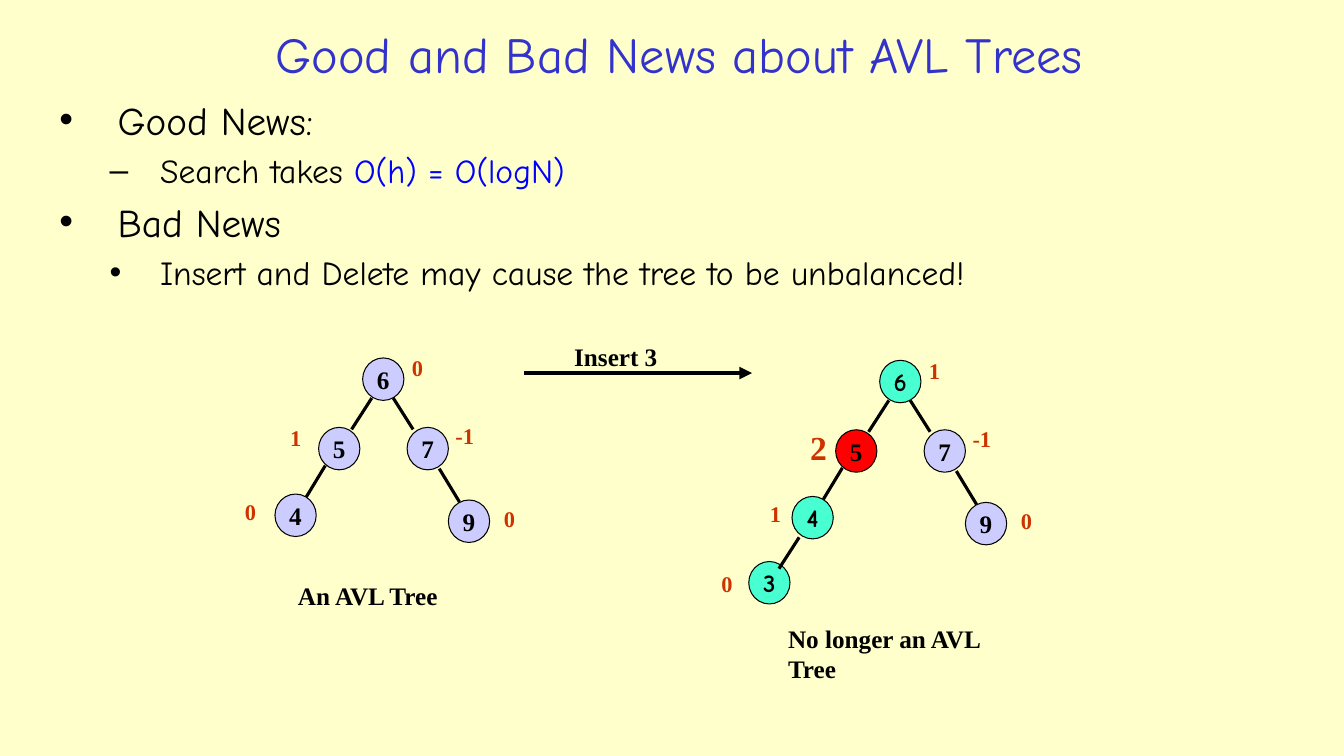
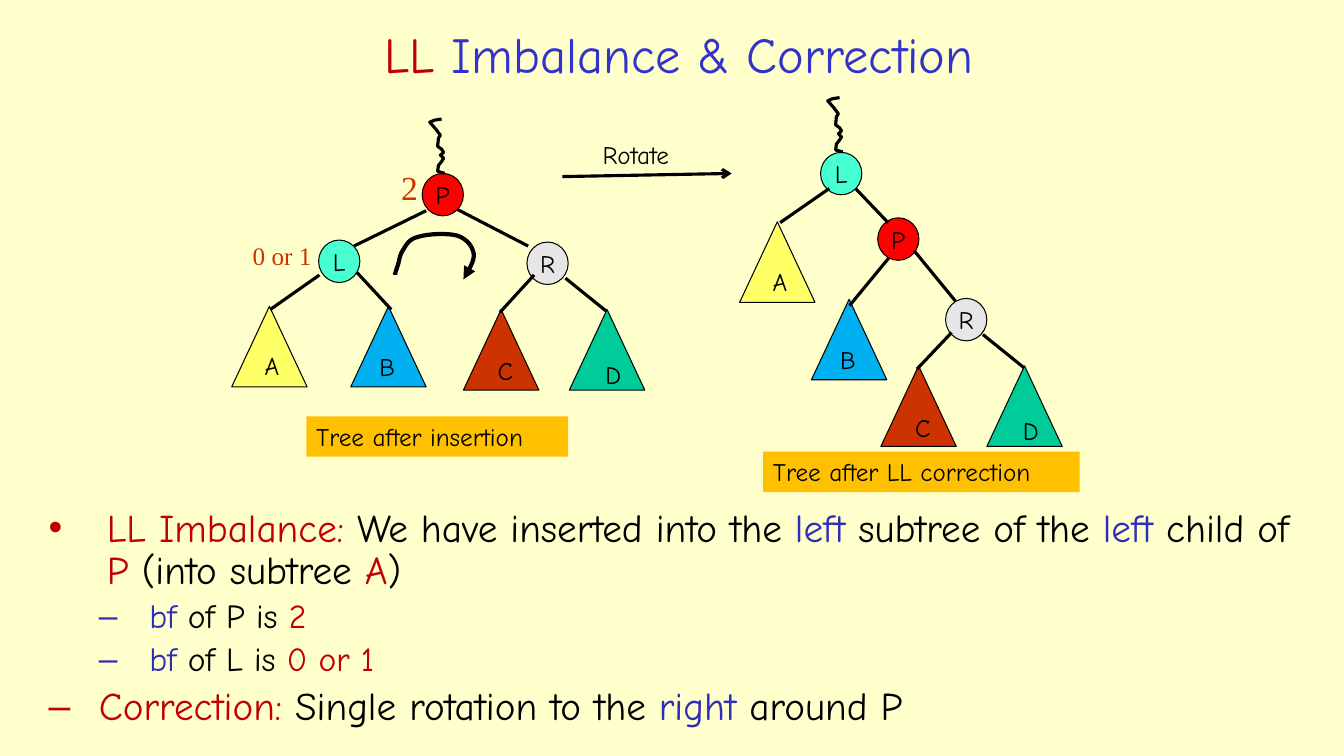
from lxml.etree import SubElement
from pptx import Presentation
from pptx.dml.color import RGBColor as Rgb
from pptx.enum.shapes import MSO_CONNECTOR as Link, MSO_SHAPE as Kind
from pptx.enum.text import MSO_ANCHOR as Anchor, MSO_AUTO_SIZE as Auto, PP_ALIGN as Align
from pptx.oxml.ns import qn
from pptx.util import Cm, Pt


class Theme:
    paper = Rgb(0xFF, 0xFF, 0xCC)
    black = Rgb(0, 0, 0)
    title = Rgb(0x33, 0x33, 0xCC)
    blue = Rgb(0, 0, 0xFF)
    navy = Rgb(0x2D, 0x2D, 0xB9)
    dark = Rgb(0xC0, 0, 0)
    rust = Rgb(0xCC, 0x33, 0)
    lilac = Rgb(0xCC, 0xCC, 0xFF)
    mint = Rgb(0x47, 0xFF, 0xD1)
    red = Rgb(0xFF, 0, 0)
    grey = Rgb(0xE6, 0xE6, 0xE6)
    lemon = Rgb(0xFF, 0xFF, 0x66)
    sky = Rgb(0, 0xB0, 0xF0)
    green = Rgb(0, 0xCC, 0x99)
    gold = Rgb(0xFF, 0xC0, 0)
    comic = "Comic Neue"
    times = "Times New Roman"
    head, item, sub, label, mark = 36, 28, 24, 18, 16
    thin, edge, bold = 0.75, 2.25, 3


def put(page, kind, x, y, w, h=None, text="", font=Theme.comic, size=Theme.label,
        color=Theme.black, bold=False, fill=None):
    box = [Cm(v) for v in (x, y, w, h or 0.04 * size + 0.3)]
    if kind is None:
        shape = page.shapes.add_textbox(*box)
    else:
        shape = page.shapes.add_shape(kind, *box)
        shape.shadow.inherit = False
        shape.fill.solid()
        shape.fill.fore_color.rgb = fill
        if kind == Kind.RECTANGLE:
            shape.line.fill.background()
        else:
            shape.line.color.rgb = Theme.black
            shape.line.width = Pt(Theme.thin)
    if text:
        oval = kind == Kind.OVAL
        frame = shape.text_frame
        frame.text = text
        frame.word_wrap = False
        frame.auto_size = Auto.NONE if oval else Auto.SHAPE_TO_FIT_TEXT
        frame.vertical_anchor = Anchor.MIDDLE if oval else Anchor.TOP
        para = frame.paragraphs[0]
        para.alignment = Align.CENTER if oval else Align.LEFT
        para.font.name, para.font.size, para.font.bold = font, Pt(size), bold
        para.font.color.rgb = color


def join(page, x1, y1, x2, y2, width=Theme.edge, tip=None):
    line = page.shapes.add_connector(Link.STRAIGHT, Cm(x1), Cm(y1), Cm(x2), Cm(y2))
    line.line.color.rgb = Theme.black
    line.line.width = Pt(width)
    if tip:
        SubElement(line.line._get_or_add_ln(), qn("a:tailEnd"), type=tip)
    SubElement(line._element.spPr, qn("a:effectLst"))


deck = Presentation()
deck.slide_width, deck.slide_height = Cm(33.87), Cm(19.05)
back = deck.slide_master.background.fill
back.solid()
back.fore_color.rgb = Theme.paper
layout = deck.slide_layouts[1]
name = layout.placeholders.get(0)
name.left, name.top, name.width, name.height = Cm(5), Cm(0.38), Cm(24.23), Cm(1.93)

T = Theme
first = (1.47, 1.47, T.item, 0)
second = (2.54, 1.27, T.sub, 1)
last = (1.27, 1.27, T.item, 0)
plans = [
    ([("Good and Bad News about AVL Trees", T.title)], (1.24, 2.29, 31.42, 5.92), 1, [
        (first, "•", [("Good News:", T.black)]),
        (second, "–", [("Search takes", T.black), (" O(h) = O(logN)", T.blue)]),
        (first, "•", [("Bad News", T.black)]),
        (second, "•", [("Insert and Delete may cause the tree to be unbalanced!", T.black)]),
    ]),
    ([("LL", T.dark), (" Imbalance & Correction", T.title)], (0.97, 12.68, 32.13, 6.17), 0.9, [
        (first, "•", [("LL Imbalance: ", T.dark), ("We have inserted into the ", T.black),
                      ("left ", T.navy), ("subtree of the ", T.black), ("left", T.navy),
                      (" child of ", T.black), ("P", T.dark), (" (into subtree ", T.black),
                      ("A", T.dark), (")", T.black)]),
        (second, "–", [("bf", T.navy), (" of P is ", T.black), ("2", T.dark)]),
        (second, "–", [("bf", T.navy), (" of L is ", T.black), ("0 or 1", T.dark)]),
        (last, "–", [("Correction: ", T.dark), ("Single rotation to the ", T.black),
                     ("right", T.navy), (" around P", T.black)]),
    ]),
]
pages = []
for title, box, space, items in plans:
    page = deck.slides.add_slide(layout)
    pages.append(page)
    body = page.placeholders[1]
    body.left, body.top, body.width, body.height = [Cm(v) for v in box]
    heads = [((0, 0, T.head, 0), None, title)]
    for frame, rows in ((page.shapes.title.text_frame, heads), (body.text_frame, items)):
        frame.auto_size = Auto.NONE
        for i, ((left, hang, size, level), sign, runs) in enumerate(rows):
            para = frame.add_paragraph() if i else frame.paragraphs[0]
            if sign:
                props = para._p.get_or_add_pPr()
                props.set("marL", str(Cm(left)))
                props.set("indent", str(-Cm(hang)))
                SubElement(props, qn("a:buChar"), char=sign)
                para.level = level
                para.line_spacing = space
            else:
                para.alignment = Align.CENTER
            if i == 0:
                para.space_before = Pt(0)
            for words, color in runs:
                run = para.add_run()
                run.text = words
                run.font.name, run.font.size = T.comic, Pt(size)
                run.font.color.rgb = color

news, turn = pages
wide, tall = 1.04, 1.07

spots = {
    "6": (9.14, 9.02, 10.13, 8.81),
    "5": (8.03, 10.77, 7.06, 10.57),
    "4": (6.93, 12.45, 5.92, 12.42),
    "7": (10.26, 10.77, 11.23, 10.52),
    "9": (11.3, 12.6, 12.45, 12.6),
    "3": (5.84, 14.09, 4.9, 14.19),
}
limbs = [(9.37, 10.03, 8.86, 10.82), (9.91, 10.03, 10.41, 10.82),
         (11.07, 11.81, 11.58, 12.65), (8.2, 11.73, 7.72, 12.52)]
twig = (7.11, 13.48, 6.6, 14.27)
calm, grown = (T.lilac, T.times), (T.mint, T.comic)
trees = [
    (0, 0, limbs, [("6", calm, "0", T.mark, 0), ("5", calm, "1", T.mark, 0),
                   ("4", calm, "0", T.mark, 0), ("7", calm, "-1", T.mark, 0),
                   ("9", calm, "0", T.mark, 0)]),
    (13.03, 0.06, limbs + [twig],
     [("6", grown, "1", T.mark, 0), ("5", (T.red, T.times), "2", T.sub, 0.08),
      ("4", grown, "1", T.mark, 0.2), ("7", calm, "-1", T.mark, 0),
      ("9", calm, "0", T.mark, 0), ("3", grown, "0", T.mark, 0)]),
]
for dx, dy, lines, nodes in trees:
    for key, (fill, font), factor, size, nudge in nodes:
        x, y, mx, my = spots[key]
        put(news, Kind.OVAL, x + dx, y + dy, wide, tall, key, font, bold=True, fill=fill)
        put(news, None, mx + dx + nudge, my + dy, 0.99 if len(factor) > 1 else 0.02 * size + 0.47,
            text=factor, font=T.times, size=size, color=T.rust, bold=True)
    for x1, y1, x2, y2 in lines:
        join(news, x1 + dx, y1 + dy, x2 + dx, y2 + dy)

join(news, 13.21, 9.4, 18.95, 9.4, T.bold, "triangle")
for text, x, y, w in [("Insert 3", 14.22, 8.48, 2.64), ("An AVL Tree", 7.26, 14.5, 4.06),
                      ("No longer an AVL Tree", 19.61, 15.57, 6.68)]:
    put(news, None, x, y, w, text=text, font=T.times, bold=True)

fills = {"P": T.red, "L": T.mint, "R": T.grey}
for key, x, y in [("P", 10.64, 4.37), ("L", 8.03, 6.05), ("R", 13.28, 6.1),
                  ("L", 20.68, 3.84), ("P", 22.12, 5.49), ("R", 23.83, 7.52)]:
    put(turn, Kind.OVAL, x, y, wide, tall, key, fill=fills[key])

leaves = {"A": (T.lemon, 0.58, 0.99, 0.99), "B": (T.sky, 0.47, 1.02, 0.91),
          "C": (T.rust, 0.61, 1.04, 0.89), "D": (T.green, 0.66, 1.12, 0.97)}
for key, x, y in [("A", 5.84, 7.72), ("B", 8.84, 7.72), ("C", 11.68, 7.8), ("D", 14.35, 7.8),
                  ("A", 18.64, 5.59), ("B", 20.45, 7.54), ("C", 22.2, 9.22), ("D", 24.87, 9.22)]:
    fill, dx, dy, w = leaves[key]
    put(turn, Kind.ISOSCELES_TRIANGLE, x, y, 1.9, 2.03, fill=fill)
    put(turn, None, x + dx, y + dy, w, text=key)

for ends in [(10.74, 5.31, 8.92, 6.2), (11.53, 5.28, 13.31, 6.2), (14.25, 7.01, 15.29, 7.85),
             (8.05, 6.93, 6.81, 7.8), (8.99, 6.86, 9.86, 7.8), (13.46, 6.93, 12.6, 7.87),
             (24.77, 8.43, 25.81, 9.27), (23.98, 8.38, 23.11, 9.3), (20.9, 4.75, 19.66, 5.61),
             (21.56, 4.75, 22.38, 5.61), (22.4, 6.5, 21.41, 7.7), (23.04, 6.32, 24.08, 7.59)]:
    join(turn, *ends)

wave = [(0.33, 0), (0.15, 0.03), (0.03, 0.08), (0.18, 0.25), (0.3, 0.41), (0.25, 0.48),
        (0.23, 0.69), (0.33, 0.76), (0.38, 0.84), (0.3, 0.91), (0.38, 0.99), (0.33, 1.07),
        (0.25, 1.17), (0.23, 1.32), (0.41, 1.37)]
bends = [(11.68, 7.04), (11.81, 6.81), (11.96, 6.58), (11.94, 6.4), (11.91, 6.2),
         (11.76, 6.02), (11.53, 5.94), (11.3, 5.87), (10.77, 5.89), (10.54, 5.97),
         (10.31, 6.02), (10.24, 6.17), (10.16, 6.3), (10.06, 6.43), (10.06, 6.63),
         (10.01, 6.73), (9.98, 6.83), (9.96, 6.88), (9.96, 6.93)]
steps = 8
swoop = [bends[0]]
for i in range(0, len(bends) - 1, 3):
    for t in [(n + 1) / steps for n in range(steps)]:
        parts = ((1 - t) ** 3, 3 * t * (1 - t) ** 2, 3 * t * t * (1 - t), t ** 3)
        swoop.append(tuple(sum(p * b[k] for p, b in zip(parts, bends[i:i + 4])) for k in (0, 1)))

for dots, dx, dy, width, tip in [(wave, 10.8, 3, T.edge, None), (wave, 20.83, 2.46, T.edge, None),
                                 (swoop, 0, 0, T.bold, "triangle")]:
    dots = [(Cm(x + dx), Cm(y + dy)) for x, y in dots]
    pen = turn.shapes.build_freeform(*dots[0])
    pen.add_line_segments(dots[1:], close=False)
    curve = pen.convert_to_shape()
    curve.shadow.inherit = False
    curve.fill.background()
    curve.line.color.rgb = T.black
    curve.line.width = Pt(width)
    ln = curve.line._get_or_add_ln()
    SubElement(ln, qn("a:round"))
    if tip:
        SubElement(ln, qn("a:headEnd"), type=tip)

put(turn, None, 9.86, 4.09, 0.94, text="2", font=T.times, size=T.sub, color=T.rust)
put(turn, None, 6.12, 5.94, 2.08, text="0 or 1", font=T.times, color=T.rust)
put(turn, Kind.RECTANGLE, 7.72, 10.49, 6.6, text="Tree after insertion", fill=T.gold)
put(turn, Kind.RECTANGLE, 19.23, 11.38, 7.98, text="Tree after LL correction", fill=T.gold)
join(turn, 14.17, 4.45, 18.44, 4.37, tip="arrow")
put(turn, None, 14.94, 3.38, 2.54, text="Rotate")

deck.save("out.pptx")
